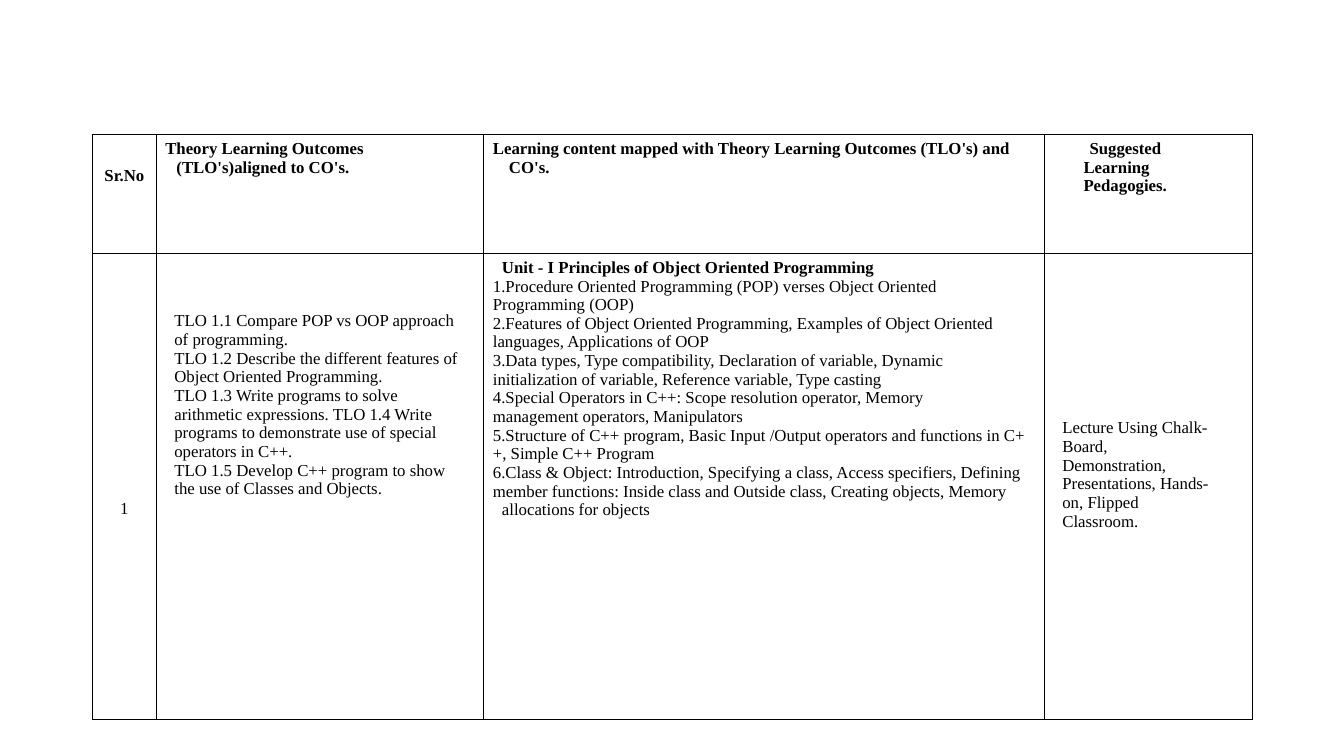
from lxml.etree import SubElement
from pptx import Presentation
from pptx.dml.color import RGBColor
from pptx.enum.text import PP_ALIGN
from pptx.oxml import parse_xml
from pptx.oxml.ns import nsdecls, qn
from pptx.util import Pt

FONT, BLACK = "Times New Roman", "000000"
LEFT, TOP = 66.2, 96
COLS = [45.4, 234, 400.3, 149]
ROWS = [85, 332.6]
SIDE, EDGE, BLANK_LINE = 6.5, 3.6, 19.1

bold = dict(bold=True)
centre = dict(align=PP_ALIGN.CENTER)
outcome = dict(left=6.5, right=7)
item = dict(first=-5.8, numbered=True)
narrow = dict(item, right=40)

CELLS = [
    [
        (1, [("Sr.No", bold | centre)]),
        (0, [("Theory Learning Outcomes (TLO's)aligned to CO's.",
              dict(bold, left=8, first=-8, right=7))]),
        (0, [("Learning content mapped with Theory Learning Outcomes (TLO's) and CO's.",
              dict(bold, left=11.5, first=-11.5))]),
        (0, [("Suggested Learning Pedagogies.",
              dict(bold, left=21.6, first=4.3, right=40, align=PP_ALIGN.JUSTIFY))]),
    ],
    [
        (9, [("1", centre)]),
        (2, [
            ("TLO 1.1 Compare POP vs OOP approach of programming.", outcome),
            ("TLO 1.2 Describe the different features of Object Oriented Programming.", outcome),
            ("TLO 1.3 Write programs to solve arithmetic expressions. TLO 1.4 Write "
             "programs to demonstrate use of special operators in C++.", outcome),
            ("TLO 1.5 Develop C++ program to show the use of Classes and Objects.", outcome),
        ]),
        (0, [
            ("Unit - I Principles of Object Oriented Programming", dict(bold, left=6.5)),
            ("Procedure Oriented Programming (POP) verses Object Oriented Programming (OOP)", narrow),
            ("Features of Object Oriented Programming, Examples of Object Oriented "
             "languages, Applications of OOP", item),
            ("Data types, Type compatibility, Declaration of variable, Dynamic "
             "initialization of variable, Reference variable, Type casting", narrow),
            ("Special Operators in C++: Scope resolution operator, Memory "
             "management operators, Manipulators", narrow),
            ("Structure of C++ program, Basic Input /Output operators and functions in C++, "
             "Simple C++ Program", item),
            ("Class & Object: Introduction, Specifying a class, Access specifiers, Defining "
             "member functions: Inside class and Outside class, Creating objects, Memory", item),
            ("allocations for objects", dict(left=6.5)),
        ]),
        (6, [("Lecture Using Chalk-Board, Demonstration, Presentations, Hands-on, Flipped\vClassroom.",
              dict(left=6.5, right=22))]),
    ],
]


def rgb(value):
    return RGBColor.from_string(value)


def write(p, text, left=0, first=0, right=0, align=PP_ALIGN.LEFT,
          numbered=False, bold=False, size=12, color=BLACK):
    p.alignment = align
    pPr = p._p.get_or_add_pPr()
    for name, value in (("marL", left), ("marR", right), ("indent", first)):
        pPr.set(name, str(int(Pt(value))))
    if numbered:
        SubElement(pPr, qn("a:buAutoNum")).set("type", "arabicPeriod")
    p.text = text
    for r in p.runs:
        r.font.name = FONT
        r.font.size = Pt(size)
        r.font.bold = bold
        r.font.color.rgb = rgb(color)


def add_borders(cell, color=BLACK, width=0.75):
    tcPr = cell._tc.get_or_add_tcPr()
    for i, side in enumerate("LRTB"):
        tcPr.insert(i, parse_xml(
            f'<a:ln{side} {nsdecls("a")} w="{int(Pt(width))}"><a:solidFill>'
            f'<a:srgbClr val="{color}"/></a:solidFill></a:ln{side}>'))


def fill_cell(cell, blank_lines, paragraphs):
    cell.margin_left = cell.margin_right = Pt(SIDE)
    cell.margin_top = Pt(EDGE + blank_lines * BLANK_LINE)
    cell.margin_bottom = Pt(EDGE)
    cell.fill.background()
    add_borders(cell)
    tf = cell.text_frame
    for i, (text, style) in enumerate(paragraphs):
        p = tf.add_paragraph() if i else tf.paragraphs[0]
        write(p, text, **style)


def main():
    prs = Presentation()
    prs.slide_width, prs.slide_height = Pt(960), Pt(540)
    s = prs.slides.add_slide(prs.slide_layouts[6])
    table = s.shapes.add_table(len(ROWS), len(COLS), Pt(LEFT), Pt(TOP),
                               Pt(sum(COLS)), Pt(sum(ROWS))).table
    table.first_row = table.horz_banding = False
    for column, width in zip(table.columns, COLS):
        column.width = Pt(width)
    for row, height, contents in zip(table.rows, ROWS, CELLS):
        row.height = Pt(height)
        for cell, (blank_lines, paragraphs) in zip(row.cells, contents):
            fill_cell(cell, blank_lines, paragraphs)
    prs.save("out.pptx")


if __name__ == "__main__":
    main()
